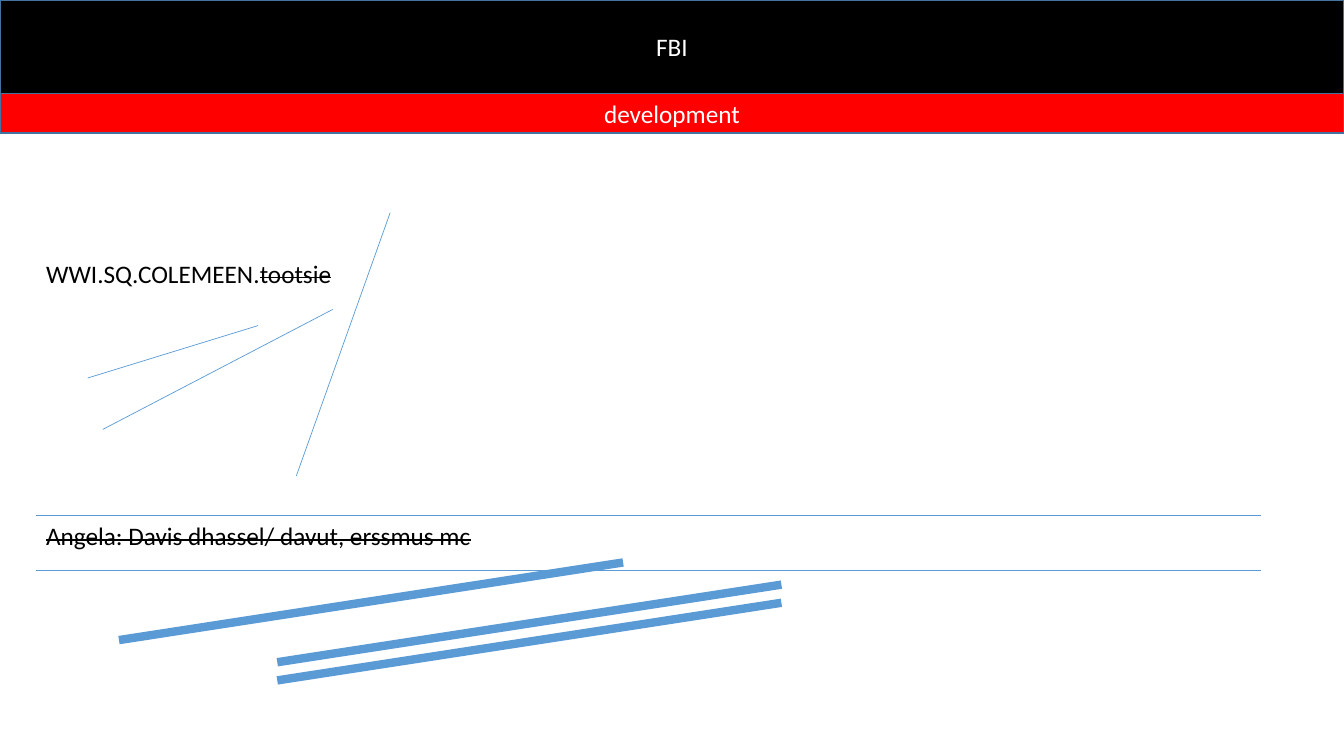
from lxml.etree import SubElement
from pptx import Presentation
from pptx.dml.color import RGBColor
from pptx.enum.shapes import MSO_CONNECTOR, MSO_SHAPE
from pptx.enum.text import MSO_ANCHOR, MSO_AUTO_SIZE, PP_ALIGN
from pptx.oxml.ns import qn
from pptx.util import Inches, Pt

WIDTH, HEIGHT = 13.33, 7.5
BLACK, RED, WHITE = "000000", "FF0000", "FFFFFF"
BLUE, BAND_EDGE = "5B9BD5", "43739E"
THIN, THICK = 0.5, 6


def color(value):
    return RGBColor.from_string(value)


def format_span(span, text_color, struck=False):
    span.font.name = "Calibri"
    span.font.size = Pt(18)
    span.font.color.rgb = color(text_color)
    if struck:
        span._r.get_or_add_rPr().set("strike", "sngStrike")


def format_band(shape, text, top, height, fill):
    """Turn a shape into a full-width coloured band with centred text."""
    shape.left, shape.top = Inches(0), Inches(top)
    shape.width, shape.height = Inches(WIDTH), Inches(height)
    shape.fill.solid()
    shape.fill.fore_color.rgb = color(fill)
    shape.line.color.rgb = color(BAND_EDGE)
    shape.line.width = Pt(1)
    frame = shape.text_frame
    frame.text = text
    frame.auto_size = MSO_AUTO_SIZE.NONE
    frame.vertical_anchor = MSO_ANCHOR.MIDDLE
    para = frame.paragraphs[0]
    para.alignment = PP_ALIGN.CENTER
    format_span(para.runs[0], WHITE)


def add_label(page, top, width, parts):
    """Add a one-line label from (text, struck) parts."""
    box = page.shapes.add_textbox(Inches(0.36), Inches(top), Inches(width), Inches(0.4))
    frame = box.text_frame
    frame.word_wrap = False
    frame.auto_size = MSO_AUTO_SIZE.SHAPE_TO_FIT_TEXT
    for text, struck in parts:
        span = frame.paragraphs[0].add_run()
        span.text = text
        format_span(span, BLACK, struck)


def add_line(page, start, end, weight):
    line = page.shapes.add_connector(
        MSO_CONNECTOR.STRAIGHT, *(Inches(value) for value in (*start, *end)))
    line.line.color.rgb = color(BLUE)
    line.line.width = Pt(weight)
    SubElement(line._element.spPr, qn("a:effectLst"))


def main():
    deck = Presentation()
    deck.slide_width, deck.slide_height = Inches(WIDTH), Inches(HEIGHT)
    page = deck.slides.add_slide(deck.slide_layouts[5])

    # Header bands
    format_band(page.shapes.title, "FBI", 0, 0.93, BLACK)
    subtitle = page.shapes.add_shape(MSO_SHAPE.RECTANGLE, 0, 0, 0, 0)
    subtitle.shadow.inherit = False
    format_band(subtitle, "development", 0.93, 0.39, RED)

    # Labels
    add_label(page, 2.51, 3.05, [("WWI.SQ.COLEMEEN.", False), ("tootsie", True)])
    add_label(page, 5.11, 4.46, [("Angela: Davis dhassel/ davut, erssmus mc", True)])

    # Thin slanted lines
    for start, end in (((1.02, 4.26), (3.3, 3.07)),
                       ((0.87, 3.75), (2.56, 3.23)),
                       ((2.94, 4.72), (3.87, 2.11))):
        add_line(page, start, end, THIN)

    # Rules around the lower label
    for top in (5.11, 5.66):
        add_line(page, (0.36, top), (12.51, top), THIN)

    # Thick parallel strokes
    for left, bottom in ((2.75, 6.75), (2.75, 6.57), (1.18, 6.35)):
        add_line(page, (left, bottom), (left + 5, bottom - 0.77), THICK)

    deck.save("out.pptx")


if __name__ == "__main__":
    main()
